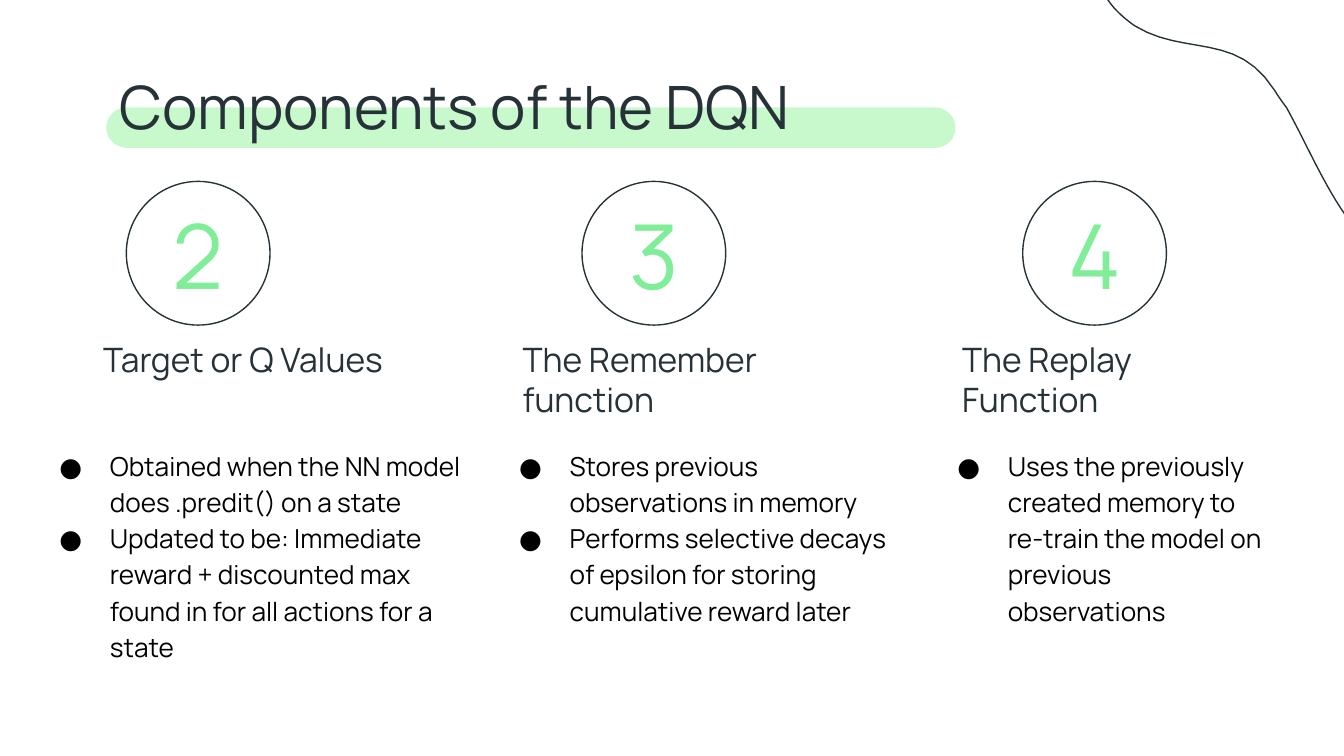
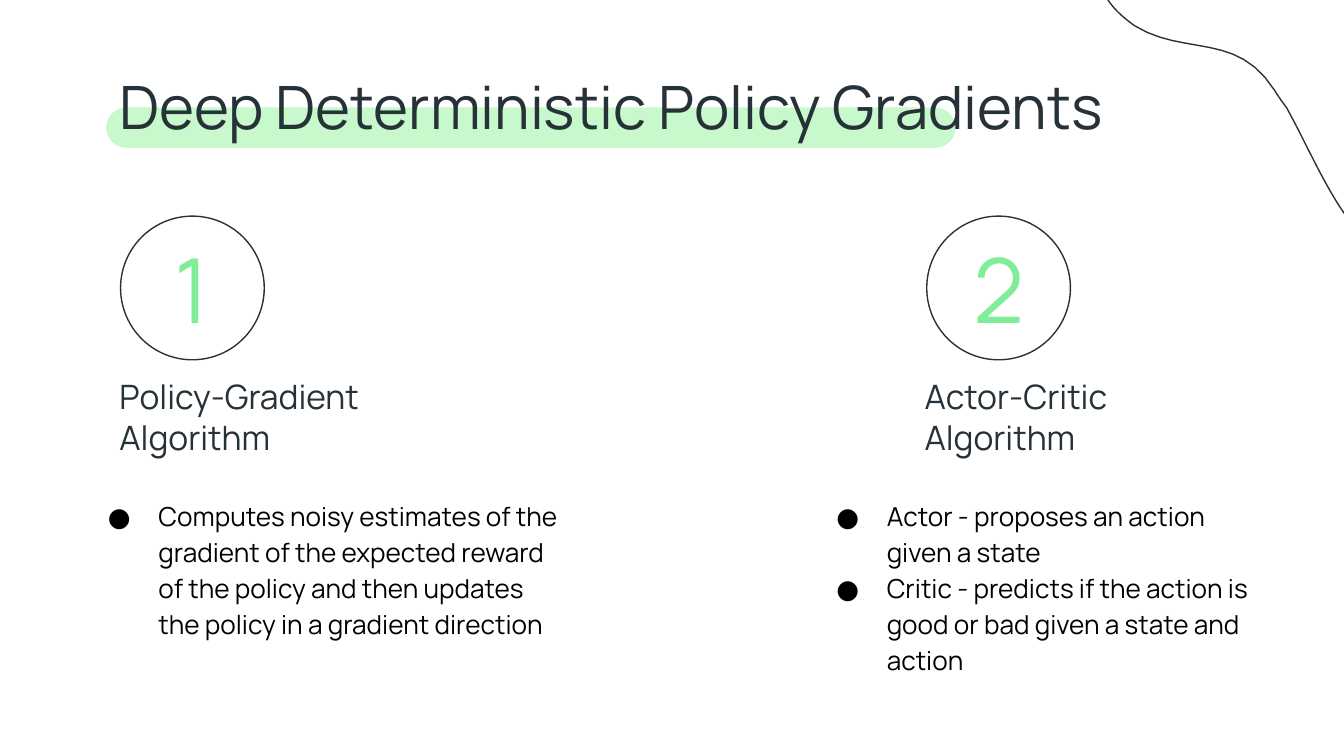
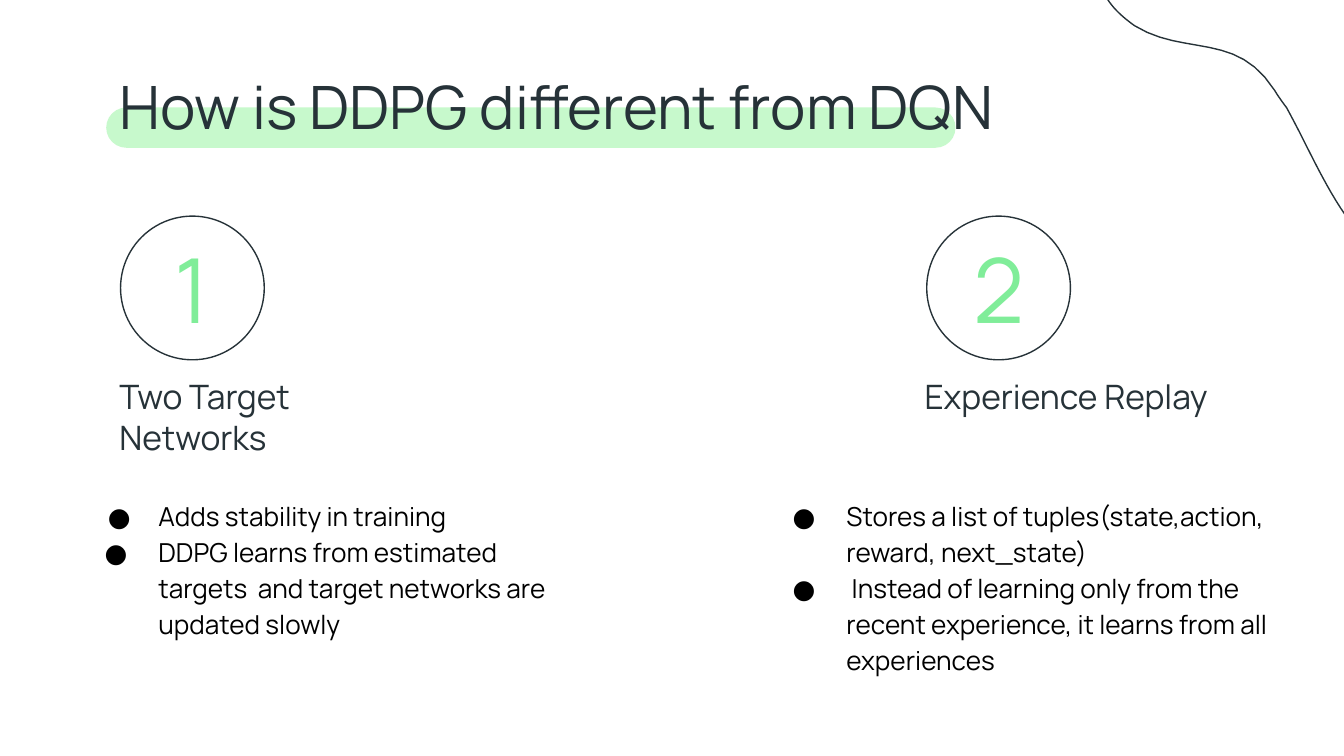
"""Build three slides on the parts of DQN and DDPG."""
from math import cos, radians, sin

from lxml import etree
from pptx import Presentation
from pptx.dml.color import RGBColor
from pptx.enum.shapes import MSO_SHAPE
from pptx.enum.text import MSO_ANCHOR, PP_ALIGN
from pptx.oxml.ns import qn
from pptx.util import Pt

OVAL, PILL = MSO_SHAPE.OVAL, MSO_SHAPE.ROUNDED_RECTANGLE
TOP, MIDDLE = MSO_ANCHOR.TOP, MSO_ANCHOR.MIDDLE
LEFT, CENTER = PP_ALIGN.LEFT, PP_ALIGN.CENTER

FONT = "Manrope"
COLORS = {"ink": "263238", "band": "C7F9CC", "green": "80ED99",
          "text": "000000", "page": "FFFFFF"}
RING = 77
NEAR, FAR = 27, 28.8

WAVE_TURN = 239.9
WAVE_MID = (747.4, 26.3)
WAVE = [
    (598.3, 2.2),
    (601.2, 7.2), (606.2, 12.2), (613.4, 17.3),
    (640.1, 33.8), (668.2, 20.2), (688.3, 51.8),
    (690.5, 55.4), (692.6, 58.3), (694.8, 61.2),
    (703.4, 77), (710.6, 92.9), (718.6, 106.6),
    (728.6, 123.8), (740.2, 139), (761, 151.9),
    (796.3, 172.8), (824.4, 164.9), (850.3, 141.8),
    (895, 102.2), (892.8, 45.4), (864, -5),
    (851.8, -25.9), (834.5, -46.1), (813.6, -63.4),
    (748.1, -115.9), (668.9, -113), (617.8, -62.6),
    (601.9, -46.8), (585.4, -20.2), (598.3, 2.2),
]

THREE = {"ring": 97.2, "head": 174.2, "body": 231.8, "after": 0}
TWO = {"ring": 115.8, "head": 194.4, "body": 258.5, "after": 16}

SLIDES = [
    ("Components of the DQN", THREE, [
        {"num": "2", "ring": 67.7, "head": 48.2, "body": (15.8, 239.8),
         "name": "Target or Q Values",
         "items": [
             ("Obtained when the NN model does .predit() on a state", NEAR),
             ("Updated to be: Immediate reward + discounted max found in "
              "for all actions for a state", NEAR)]},
        {"num": "3", "ring": 311.8, "head": 272.9, "body": (262.1, 228.2),
         "name": "The Remember function",
         "items": [
             ("Stores previous observations in memory", NEAR),
             ("Performs selective decays of epsilon for storing "
              "cumulative reward later", NEAR)]},
        {"num": "4", "ring": 547.9, "head": 508.3, "body": (496.8, 188.6),
         "name": "The Replay Function",
         "items": [
             ("Uses the previously created memory to re-train the model "
              "on previous observations", NEAR)]},
    ]),
    ("Deep Deterministic Policy Gradients", TWO, [
        {"num": "1", "ring": 64.6, "head": 56.9, "body": (41.8, 264.2),
         "name": "Policy-Gradient Algorithm",
         "items": [
             ("Computes noisy estimates of the gradient of the expected "
              "reward of the policy and then updates the policy in a "
              "gradient direction", NEAR)]},
        {"num": "2", "ring": 496.5, "head": 488.2, "body": (432, 257),
         "name": "Actor-Critic Algorithm",
         "items": [
             ("Actor - proposes an action given a state", NEAR),
             ("Critic - predicts if the action is good or bad given a "
              "state and action", NEAR)]},
    ]),
    ("How is DDPG different from DQN", TWO, [
        {"num": "1", "ring": 64.6, "head": 56.9, "body": (41.8, 264.2),
         "name": "Two Target Networks",
         "items": [
             ("Adds stability in training", NEAR),
             ("DDPG learns from estimated targets  and target networks "
              "are updated slowly", FAR)]},
        {"num": "2", "ring": 496.5, "head": 488.2, "body": (410.4, 295.2),
         "name": "Experience Replay",
         "items": [
             ("Stores a list of tuples(state,action, reward, next_state)",
              FAR),
             (" Instead of learning only from the recent experience, it "
              "learns from all experiences", FAR)]},
    ]),
]


def color(name):
    return RGBColor.from_string(COLORS[name])


def paint(shape, fill=None, line=None):
    shape.shadow.inherit = False
    if fill:
        shape.fill.solid()
        shape.fill.fore_color.rgb = color(fill)
    else:
        shape.fill.background()
    if line:
        shape.line.color.rgb = color(line)
        shape.line.width = Pt(0.75)
    else:
        shape.line.fill.background()


def add_form(slide, kind, *place):
    return slide.shapes.add_shape(kind, *map(Pt, place))


def add_box(slide, place, anchor=TOP):
    frame = slide.shapes.add_textbox(*map(Pt, place)).text_frame
    frame.word_wrap = True
    frame.vertical_anchor = anchor
    frame.margin_left = frame.margin_right = Pt(7.2)
    frame.margin_top = frame.margin_bottom = Pt(7.2)
    return frame


def add_run(para, text, size, ink):
    run = para.add_run()
    run.text = text
    run.font.size = Pt(size)
    run.font.name = FONT
    run.font.color.rgb = color(ink)


def add_line(slide, place, text, size, ink, align=LEFT, anchor=TOP, after=0):
    para = add_box(slide, place, anchor).paragraphs[0]
    para.alignment = align
    para.space_after = Pt(after)
    add_run(para, text, size, ink)


def set_bullet(para, hang):
    para.line_spacing = 1.15
    props = para._p.get_or_add_pPr()
    props.set("marL", str(Pt(36)))
    props.set("indent", str(-Pt(hang)))
    tint = etree.SubElement(props, qn("a:buClr"))
    etree.SubElement(tint, qn("a:srgbClr"), val=COLORS["text"])
    etree.SubElement(props, qn("a:buFont"), typeface=FONT)
    etree.SubElement(props, qn("a:buChar"), char="●")


def add_list(slide, place, items):
    frame = add_box(slide, place)
    for i, (text, hang) in enumerate(items):
        para = frame.add_paragraph() if i else frame.paragraphs[0]
        set_bullet(para, hang)
        add_run(para, text, 14, "text")


def trace(knots, steps=12):
    spots = [knots[0]]
    for i in range(0, len(knots) - 1, 3):
        for step in range(1, steps + 1):
            t = step / steps
            parts = ((1 - t) ** 3, 3 * t * (1 - t) ** 2,
                     3 * t * t * (1 - t), t ** 3)
            spots.append(tuple(
                sum(part * knot[axis]
                    for part, knot in zip(parts, knots[i:i + 4]))
                for axis in (0, 1)))
    return spots


def turn_back(spot):
    turn = radians(WAVE_TURN)
    x, y = spot[0] - WAVE_MID[0], spot[1] - WAVE_MID[1]
    return (Pt(WAVE_MID[0] + x * cos(turn) + y * sin(turn)),
            Pt(WAVE_MID[1] - x * sin(turn) + y * cos(turn)))


def add_wave(slide):
    spots = [turn_back(spot) for spot in trace(WAVE)]
    pen = slide.shapes.build_freeform(*spots[0], scale=1.0)
    pen.add_line_segments(spots[1:], close=True)
    wave = pen.convert_to_shape()
    wave.rotation = WAVE_TURN
    paint(wave, line="ink")


def add_base(deck, title):
    slide = deck.slides.add_slide(deck.slide_layouts[6])
    slide.background.fill.solid()
    slide.background.fill.fore_color.rgb = color("page")
    band = add_form(slide, PILL, 56.9, 57.6, 455, 21.6)
    band.adjustments[0] = 0.5
    paint(band, fill="band")
    add_wave(slide)
    add_line(slide, (56.9, 30.2, 625, 48.2), title, 32, "ink")
    return slide


def add_part(slide, part, rows):
    left, top = part["ring"], rows["ring"]
    paint(add_form(slide, OVAL, left, top, RING, RING), line="ink")
    wide, high = 69.8, 55.4
    spot = (left + (RING - wide) / 2, top + (RING - high) / 2, wide, high)
    add_line(slide, spot, part["num"], 48, "green", CENTER, MIDDLE)
    add_line(slide, (part["head"], rows["head"], 173.5, 29.5),
             part["name"], 18, "ink", after=rows["after"])
    x, width = part["body"]
    add_list(slide, (x, rows["body"], width, 111.6), part["items"])


def main():
    deck = Presentation()
    deck.slide_width, deck.slide_height = Pt(720), Pt(405)
    for title, rows, parts in SLIDES:
        slide = add_base(deck, title)
        for part in parts:
            add_part(slide, part, rows)
    deck.save("out.pptx")


if __name__ == "__main__":
    main()
